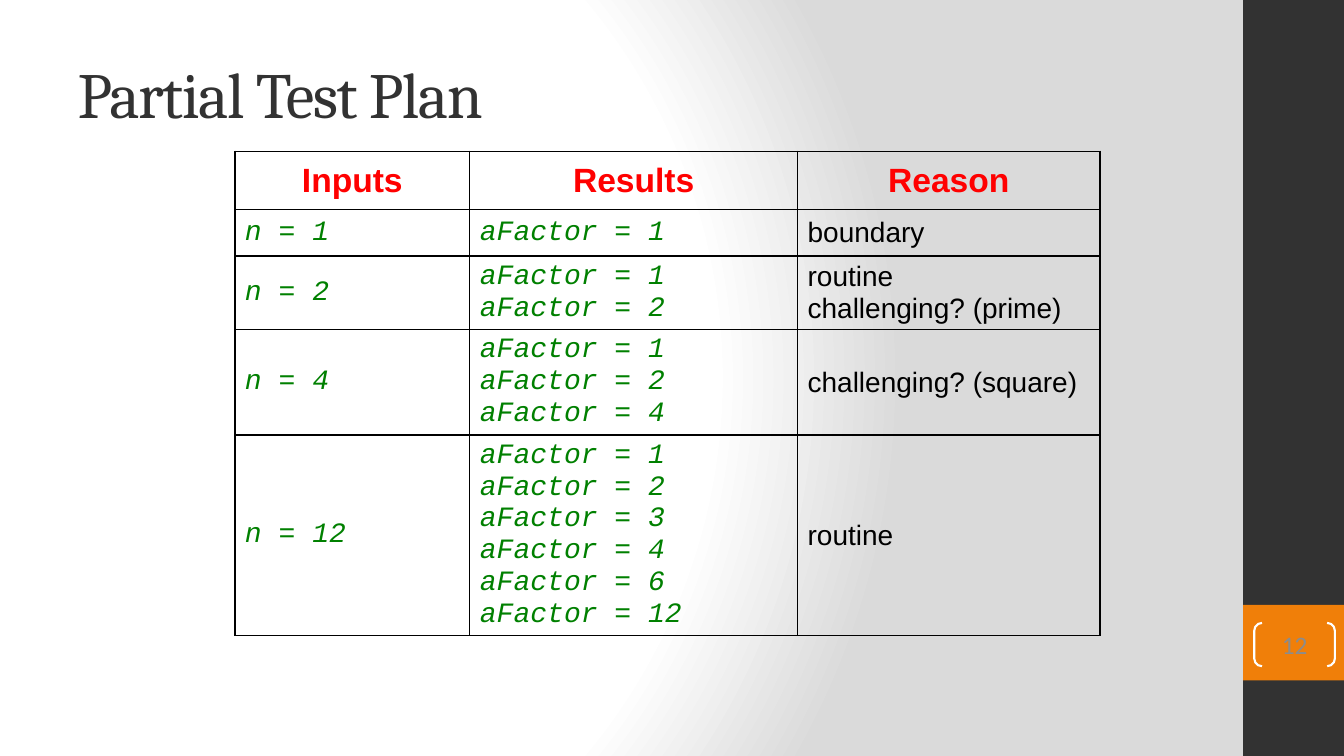
from dataclasses import dataclass

from pptx import Presentation
from pptx.dml.color import RGBColor
from pptx.enum.shapes import MSO_SHAPE as Preset
from pptx.enum.text import MSO_ANCHOR as Anchor, MSO_AUTO_SIZE as AutoSize, PP_ALIGN as Align
from pptx.oxml import parse_xml
from pptx.oxml.ns import nsdecls, qn
from pptx.slide import Slide
from pptx.table import _Cell as Cell
from pptx.util import Inches, Pt

WHITE = RGBColor(0xFF, 0xFF, 0xFF)
BLACK = RGBColor(0x00, 0x00, 0x00)
SHADE = RGBColor(0xDA, 0xDA, 0xDA)
CHARCOAL = RGBColor(0x32, 0x32, 0x32)
ORANGE = RGBColor(0xF0, 0x7F, 0x09)
GRAY = RGBColor(0x8C, 0x8C, 0x8C)
RED = RGBColor(0xFF, 0x00, 0x00)
GREEN = RGBColor(0x00, 0x80, 0x00)


@dataclass(frozen=True)
class TextStyle:
    font: str
    size: int
    color: RGBColor
    bold: bool = False
    italic: bool = False
    align: Align = Align.LEFT


@dataclass(frozen=True)
class Band:
    top: float
    height: float
    color: RGBColor


@dataclass(frozen=True)
class TestCase:
    n: int
    factors: tuple[int, ...]
    reasons: tuple[str, ...]
    height: float


TITLE = TextStyle("Cambria", 46, CHARCOAL)
NUMBER = TextStyle("Calibri", 18, GRAY, align=Align.CENTER)
HEADER = TextStyle("Arial", 24, RED, bold=True, align=Align.CENTER)
CODE = TextStyle("Courier New", 20, GREEN, italic=True)
REASON = TextStyle("Arial", 20, BLACK)

BANDS = (Band(0, 7.5, CHARCOAL), Band(6, 0.75, ORANGE))
HEADINGS = ("Inputs", "Results", "Reason")
COLUMN_WIDTHS = (2.33, 3.25, 3)
HEADER_HEIGHT = 0.58
TEST_CASES = (
    TestCase(1, (1,), ("boundary",), 0.46),
    TestCase(2, (1, 2), ("routine", "challenging? (prime)"), 0.73),
    TestCase(4, (1, 2, 4), ("challenging? (square)",), 1.04),
    TestCase(12, (1, 2, 3, 4, 6, 12), ("routine",), 1.99),
)


def write_lines(text_frame, lines: tuple[str, ...], style: TextStyle) -> None:
    text_frame.text = "\n".join(lines)
    for paragraph in text_frame.paragraphs:
        paragraph.alignment = style.align
        font = paragraph.font
        font.name = style.font
        font.size = Pt(style.size)
        font.bold = style.bold
        font.italic = style.italic
        font.color.rgb = style.color


def set_background(slide: Slide) -> None:
    slide.background.fill.solid()
    solid = slide.element.find(".//" + qn("a:solidFill"))
    stops = "".join(
        f'<a:gs pos="{position * 1000}"><a:srgbClr val="{color}"/></a:gs>'
        for position, color in ((0, WHITE), (75, WHITE), (100, SHADE))
    )
    gradient = parse_xml(
        f'<a:gradFill {nsdecls("a")} rotWithShape="1"><a:gsLst>{stops}</a:gsLst>'
        '<a:path path="circle">'
        '<a:fillToRect l="20000" t="50000" r="100000" b="50000"/>'
        "</a:path></a:gradFill>"
    )
    solid.getparent().replace(solid, gradient)


def add_band(slide: Slide, band: Band) -> None:
    shape = slide.shapes.add_shape(
        Preset.RECTANGLE, Inches(12.33), Inches(band.top), Inches(1), Inches(band.height)
    )
    shape.shadow.inherit = False
    shape.fill.solid()
    shape.fill.fore_color.rgb = band.color
    shape.line.fill.background()


def add_slide_number(slide: Slide) -> None:
    bracket = slide.shapes.add_shape(
        Preset.DOUBLE_BRACKET, Inches(12.44), Inches(6.18), Inches(0.8), Inches(0.43)
    )
    bracket.adjustments[0] = 0.179
    bracket.shadow.inherit = False
    bracket.fill.background()
    bracket.line.color.rgb = WHITE
    bracket.line.width = Pt(1.5)
    frame = bracket.text_frame
    frame.margin_left = frame.margin_right = frame.margin_top = frame.margin_bottom = 0
    frame.vertical_anchor = Anchor.MIDDLE
    write_lines(frame, ("12",), NUMBER)


def format_title(slide: Slide) -> None:
    title = slide.shapes.title
    title.left, title.top = Inches(0.67), Inches(0.3)
    title.width, title.height = Inches(11.11), Inches(1.25)
    frame = title.text_frame
    write_lines(frame, ("Partial Test Plan",), TITLE)
    frame.auto_size = AutoSize.NONE
    frame.vertical_anchor = Anchor.MIDDLE
    # Tighten the letters by one point
    frame.paragraphs[0].runs[0].font._element.set("spc", "-100")


def add_borders(cell: Cell) -> None:
    properties = cell._tc.get_or_add_tcPr()
    for index, side in enumerate(("lnL", "lnR", "lnT", "lnB")):
        border = parse_xml(
            f'<a:{side} {nsdecls("a")} w="{Pt(1)}"><a:solidFill>'
            f'<a:srgbClr val="{BLACK}"/></a:solidFill></a:{side}>'
        )
        properties.insert(index, border)


def fill_cell(cell: Cell, lines: tuple[str, ...], style: TextStyle) -> None:
    write_lines(cell.text_frame, lines, style)
    several_results = style is CODE and len(lines) > 1
    cell.vertical_anchor = Anchor.TOP if several_results else Anchor.MIDDLE
    cell.fill.background()
    add_borders(cell)


def add_test_plan(slide: Slide) -> None:
    heights = (HEADER_HEIGHT, *(case.height for case in TEST_CASES))
    table = slide.shapes.add_table(
        len(heights), len(HEADINGS), Inches(2.33), Inches(1.5),
        Inches(sum(COLUMN_WIDTHS)), Inches(sum(heights)),
    ).table
    table.first_row = table.horz_banding = False
    for column, width in zip(table.columns, COLUMN_WIDTHS):
        column.width = Inches(width)
    for row, height in zip(table.rows, heights):
        row.height = Inches(height)

    for column_index, heading in enumerate(HEADINGS):
        fill_cell(table.cell(0, column_index), (heading,), HEADER)
    for row_index, case in enumerate(TEST_CASES, start=1):
        results = tuple(f"aFactor = {factor}" for factor in case.factors)
        fill_cell(table.cell(row_index, 0), (f"n = {case.n}",), CODE)
        fill_cell(table.cell(row_index, 1), results, CODE)
        fill_cell(table.cell(row_index, 2), case.reasons, REASON)


def main() -> None:
    presentation = Presentation()
    presentation.slide_width = Inches(13.33)
    presentation.slide_height = Inches(7.5)
    slide = presentation.slides.add_slide(presentation.slide_layouts[5])

    # Background and side bands
    set_background(slide)
    for band in BANDS:
        add_band(slide, band)

    # Title, slide number and table
    format_title(slide)
    add_slide_number(slide)
    add_test_plan(slide)
    presentation.save("out.pptx")


if __name__ == "__main__":
    main()
